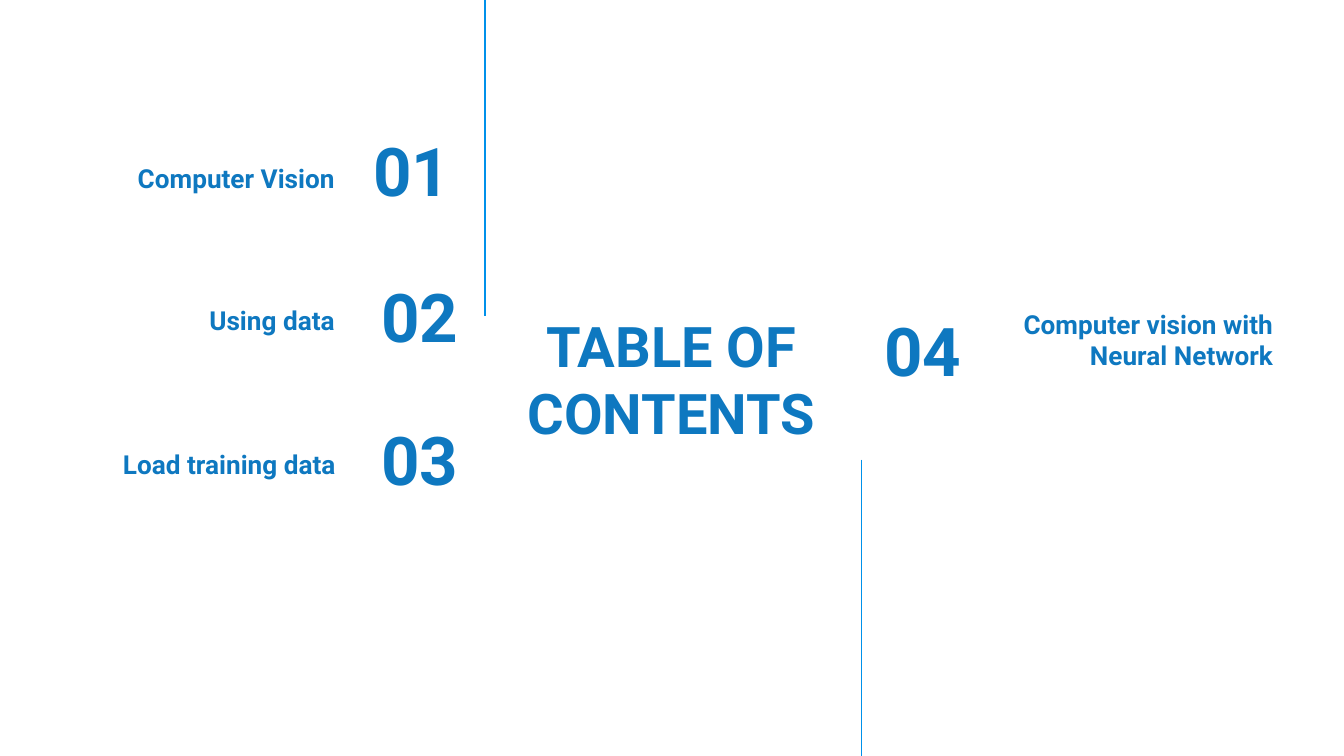
"""Build a table of contents slide with four numbered topics."""
import pptx
import pptx.dml.color
import pptx.enum.shapes
import pptx.enum.text
import pptx.util
import pptx.oxml.ns
import lxml.etree

Pt = pptx.util.Pt
ALIGN = pptx.enum.text.PP_ALIGN
ANCHOR = pptx.enum.text.MSO_ANCHOR
COLORS = {"text": "0E78C0", "line": "0091EA", "background": "FFFFFF"}


def add_text(page, text, left, top, width, height, size, align, anchor):
    box = page.shapes.add_textbox(Pt(left), Pt(top), Pt(width), Pt(height))
    frame = box.text_frame
    frame.word_wrap = True
    frame.vertical_anchor = anchor
    frame.margin_left = frame.margin_right = Pt(7.2)
    frame.margin_top = frame.margin_bottom = Pt(7.2)
    frame.text = text
    para = frame.paragraphs[0]
    para.alignment = align
    span = para.runs[0]
    span.font.name = "Roboto"
    span.font.size = Pt(size)
    span.font.bold = True
    span.font.color.rgb = pptx.dml.color.RGBColor.from_string(COLORS["text"])


deck = pptx.Presentation()
deck.slide_width, deck.slide_height = Pt(720), Pt(405)
page = deck.slides.add_slide(deck.slide_layouts[6])
page.background.fill.solid()
page.background.fill.fore_color.rgb = pptx.dml.color.RGBColor.from_string(COLORS["background"])

add_text(page, "TABLE OF CONTENTS", 266.4, 165.6, 186.5, 74.2, 30, ALIGN.CENTER, ANCHOR.MIDDLE)

left_topics = [
    ("01", "Computer Vision", 161.3, 68.4, 31, 65.5),
    ("02", "Using data", 165.6, 146.2, 31, 141.8),
    ("03", "Load training data", 165.6, 223.2, 31.5, 218.9),
]
for number, topic, number_left, number_top, topic_left, topic_top in left_topics:
    add_text(page, number, number_left, number_top, 87.1, 45.4, 36, ALIGN.RIGHT, ANCHOR.MIDDLE)
    add_text(page, topic, topic_left, topic_top, 155.5, 45.4, 14, ALIGN.RIGHT, ANCHOR.BOTTOM)

add_text(page, "04", 466.6, 164.9, 84.2, 45.4, 36, ALIGN.LEFT, ANCHOR.MIDDLE)
add_text(page, "Computer vision with Neural Network", 524.9, 160.6, 164.2, 45.4, 14,
         ALIGN.RIGHT, ANCHOR.BOTTOM)

for x, top, bottom in [(259.9, 0, 169.2), (461.5, 246.2, 405)]:
    line = page.shapes.add_connector(
        pptx.enum.shapes.MSO_CONNECTOR.STRAIGHT, Pt(x), Pt(top), Pt(x), Pt(bottom))
    line.line.color.rgb = pptx.dml.color.RGBColor.from_string(COLORS["line"])
    line.line.width = Pt(0.75)
    lxml.etree.SubElement(line._element.spPr, pptx.oxml.ns.qn("a:effectLst"))

deck.save("out.pptx")
